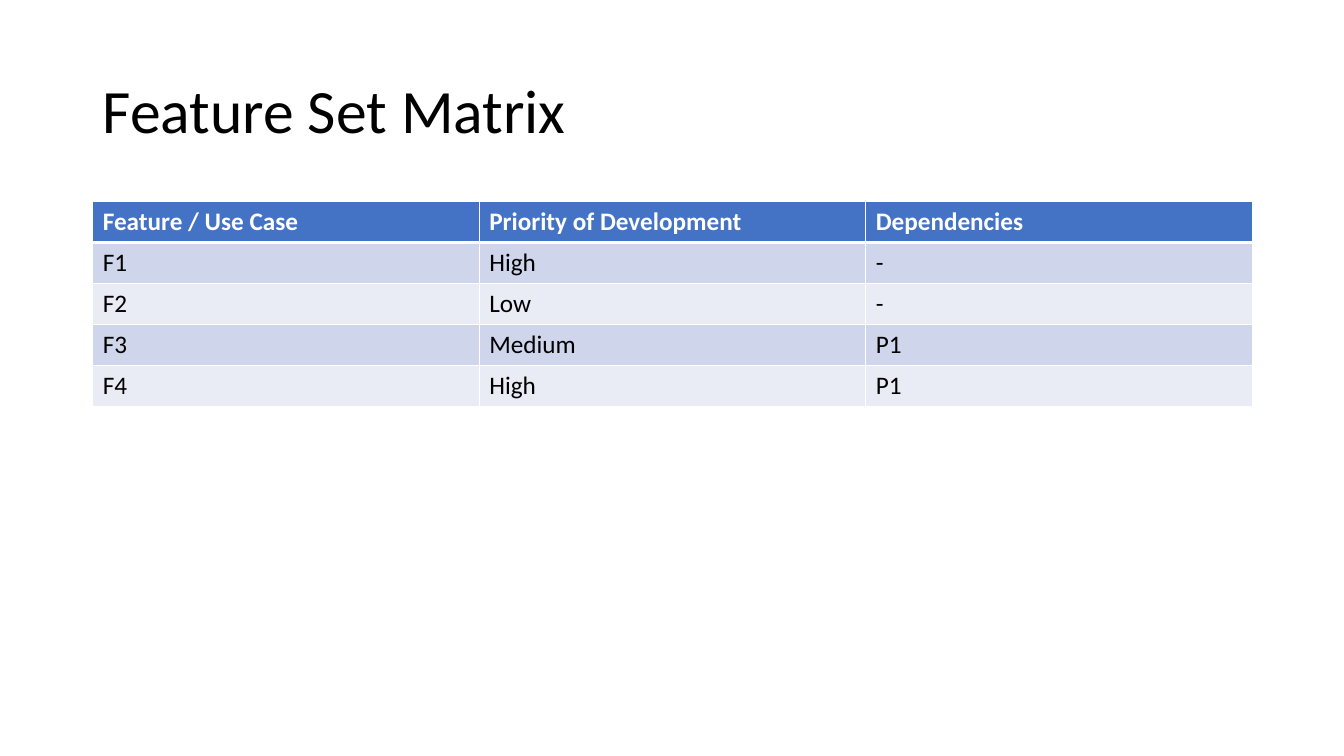
from pptx import Presentation
from pptx.dml.color import RGBColor
from pptx.enum.text import MSO_ANCHOR
from pptx.oxml import parse_xml
from pptx.oxml.ns import nsdecls
from pptx.util import Inches, Pt

BLACK = RGBColor(0, 0, 0)
WHITE = RGBColor(255, 255, 255)
BLUE = RGBColor(0x44, 0x72, 0xC4)
BANDS = [RGBColor(0xE9, 0xEB, 0xF5), RGBColor(0xCF, 0xD5, 0xEA)]

TITLE = {"name": "Calibri", "size": Pt(44), "bold": False}
HEAD = {"name": "Calibri", "size": Pt(18), "bold": True}
BODY = {"name": "Calibri", "size": Pt(18), "bold": False}

ROWS = [
    ["Feature / Use Case", "Priority of Development", "Dependencies"],
    ["F1", "High", "-"],
    ["F2", "Low", "-"],
    ["F3", "Medium", "P1"],
    ["F4", "High", "P1"],
]


def write(frame, text, form, color):
    run = frame.paragraphs[0].add_run()
    run.text = text
    for key, value in form.items():
        setattr(run.font, key, value)
    run.font.color.rgb = color


def border(cell, side, width):
    cell._tc.get_or_add_tcPr().append(parse_xml(
        f'<a:{side} {nsdecls("a")} w="{Pt(width)}"><a:solidFill>'
        f'<a:srgbClr val="{WHITE}"/></a:solidFill></a:{side}>'))


deck = Presentation()
deck.slide_width = Inches(13.33)
deck.slide_height = Inches(7.5)
slide = deck.slides.add_slide(deck.slide_layouts[6])

box = slide.shapes.add_textbox(Inches(0.92), Inches(0.4), Inches(11.5), Inches(1.45))
frame = box.text_frame
frame.word_wrap = True
frame.vertical_anchor = MSO_ANCHOR.MIDDLE
frame.paragraphs[0].line_spacing = 0.9
write(frame, TITLE_TEXT := "Feature Set Matrix", TITLE, BLACK)

table = slide.shapes.add_table(
    len(ROWS), len(ROWS[0]), Inches(0.92), Inches(2), Inches(11.5), Inches(2.03)).table

for r, row in enumerate(ROWS):
    head = r == 0
    for c, text in enumerate(row):
        cell = table.cell(r, c)
        for side in ("lnL", "lnR", "lnT", "lnB"):
            thick = (head and side == "lnB") or (r == 1 and side == "lnT")
            border(cell, side, 3 if thick else 1)
        cell.fill.solid()
        cell.fill.fore_color.rgb = BLUE if head else BANDS[r % 2]
        write(cell.text_frame, text, HEAD if head else BODY, WHITE if head else BLACK)

deck.save("out.pptx")
